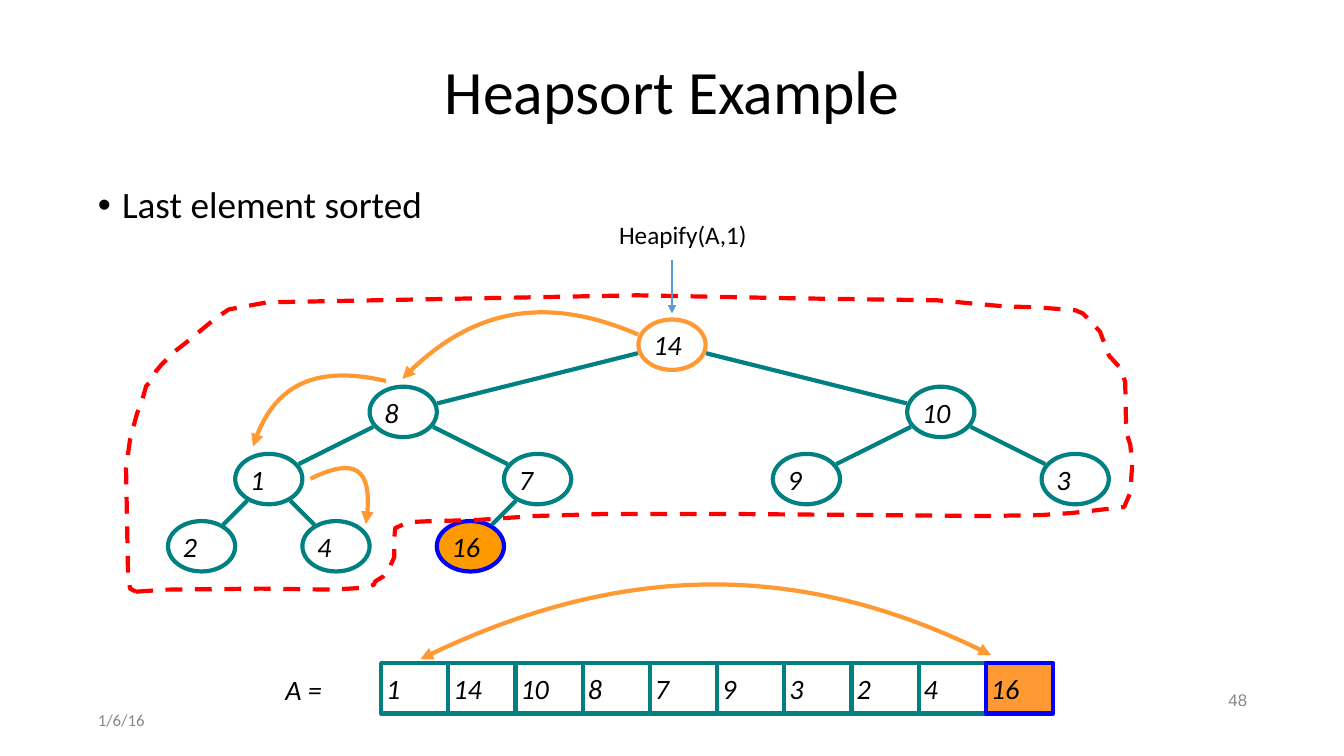
from math import hypot

from lxml import etree
from pptx import Presentation, util as u
from pptx.dml.color import RGBColor
from pptx.enum import dml, shapes, text
from pptx.oxml.ns import qn

TEAL = RGBColor(0x00, 0x80, 0x80)
BLUE = RGBColor(0x00, 0x00, 0xFF)
ORANGE = RGBColor(0xFF, 0x99, 0x33)
AMBER = RGBColor(0xFF, 0x99, 0x00)
RED = RGBColor(0xFF, 0x00, 0x00)
SKY = RGBColor(0x5B, 0x9B, 0xD5)
WHITE = RGBColor(0xFF, 0xFF, 0xFF)
BLACK = RGBColor(0x00, 0x00, 0x00)
GRAY = RGBColor(0x88, 0x88, 0x88)

WIDTH, HEIGHT = 13.33, 7.5
COLUMN = WIDTH / 20
NODE_HEIGHT = 0.5
ROOT_Y = 3.42
ARRAY_LEFT, ARRAY_TOP = 3.78, 6.58

TREE = [
    ("14", 10, 0), ("8", 6, 1), ("10", 14, 1), ("1", 4, 2), ("7", 8, 2),
    ("9", 12, 2), ("3", 16, 2), ("2", 3, 3), ("4", 5, 3), ("16", 7, 3),
]
NODE_COLORS = {"14": (WHITE, ORANGE), "16": (AMBER, BLUE)}
ARRAY = ["1", "14", "10", "8", "7", "9", "3", "2", "4", "16"]
CELL_COLORS = {"16": (ORANGE, BLUE)}

LABELS = [
    ("1/6/16", (0.92, 7, 3, 0.29), 12, "Calibri", GRAY, False, "LEFT"),
    ("48", (9.42, 6.8, 3, 0.29), 12, "Arial", GRAY, False, "RIGHT"),
    ("A =", (2.78, 6.62, 0.7, 0.43), 20, "Calibri", BLACK, True, "LEFT"),
    ("Heapify(A,1)", (6.09, 2.12, 1.6, 0.41), 18, "Calibri", BLACK, False, "LEFT"),
]
HEAP_BOUNDARY = [
    (1.35, 5.87), (1.65, 5.85), (2.59, 5.84), (3.3, 5.85), (3.63, 5.83), (3.71, 5.8),
    (3.72, 5.77), (3.8, 5.72), (3.85, 5.66), (3.91, 5.53), (3.91, 5.35), (3.92, 5.24),
    (4.05, 5.18), (4.29, 5.17), (4.72, 5.16), (5.3, 5.12), (5.98, 5.1), (7.32, 5.1),
    (8.6, 5.11), (9.77, 5.12), (10.33, 5.11), (10.63, 5.09), (10.81, 5.07),
    (11.15, 5.03), (11.21, 4.89), (11.23, 4.6), (11.21, 4.41), (11.17, 4.29),
    (11.16, 3.79), (11.12, 3.66), (11, 3.53), (10.91, 3.29), (10.8, 3.17),
    (10.74, 3.11), (10.67, 3.08), (10.3, 3.05), (9.96, 3.04), (9.3, 2.98),
    (7.88, 2.96), (6.32, 2.93), (2.65, 3), (2.27, 3.07), (2.15, 3.15), (2.05, 3.23),
    (1.87, 3.38), (1.73, 3.49), (1.6, 3.62), (1.55, 3.68), (1.51, 3.77), (1.45, 3.83),
    (1.4, 4.01), (1.36, 4.1), (1.29, 4.36), (1.25, 4.65), (1.27, 5.69), (1.29, 5.84),
]
SWAP_ARROWS = [
    ([(9.83, 6.5), (8, 5.57), (6.11, 5.58), (4.17, 6.54)], ("headEnd", "tailEnd")),
    ([(6.33, 3.32), (5.43, 2.93), (4.65, 3.07), (3.99, 3.76)], ("tailEnd",)),
    ([(3.83, 3.78), (3.14, 3.62), (2.69, 3.84), (2.51, 4.43)], ("tailEnd",)),
    ([(3.63, 5.2), (3.71, 4.68), (3.53, 4.53), (3.08, 4.75)], ("headEnd",)),
]


def inches(values):
    return [u.Inches(value) for value in values]


def add_span(para, words, size, font, color, italic=False):
    span = para.add_run()
    span.text = words
    span.font.size = u.Pt(size)
    span.font.name = font
    span.font.italic = italic
    span.font.color.rgb = color


def set_frame(frame, inset=0.05, anchor=text.MSO_ANCHOR.MIDDLE):
    frame.word_wrap = True
    frame.auto_size = text.MSO_AUTO_SIZE.NONE
    frame.vertical_anchor = anchor
    frame.margin_left = frame.margin_right = u.Inches(0.05)
    frame.margin_top = frame.margin_bottom = u.Inches(inset)
    return frame.paragraphs[0]


def place(box, area):
    box.left, box.top, box.width, box.height = inches(area)


def set_line(shape, color, width=3, ends=()):
    shape.line.color.rgb = color
    shape.line.width = u.Pt(width)
    for end in ends:
        etree.SubElement(shape.line._ln, qn("a:" + end), type="triangle")


def add_number(page, kind, number, area, colors):
    shape = page.shapes.add_shape(kind, *inches(area))
    shape.shadow.inherit = False
    shape.fill.solid()
    shape.fill.fore_color.rgb = colors[0]
    set_line(shape, colors[1])
    para = set_frame(shape.text_frame, inset=0)
    para.alignment = text.PP_ALIGN.LEFT
    add_span(para, number, 20, "Calibri", BLACK, True)


def add_straight(page, start, finish, color, width=3, ends=()):
    line = page.shapes.add_connector(
        shapes.MSO_CONNECTOR.STRAIGHT, *inches([*start, *finish]))
    etree.SubElement(line._element.spPr, qn("a:effectLst"))
    set_line(line, color, width, ends)


def add_outline(page, points, color, close=False, ends=()):
    corners = [inches(point) for point in points]
    builder = page.shapes.build_freeform(*corners[0])
    builder.add_line_segments(corners[1:], close=close)
    outline = builder.convert_to_shape()
    outline.shadow.inherit = False
    outline.fill.background()
    set_line(outline, color, ends=ends)
    return outline


def add_curve(page, points, color, ends):
    curve = add_outline(page, points, color, ends=ends)
    steps = list(curve._element.iter(qn("a:lnTo")))
    bezier = etree.SubElement(steps[0].getparent(), qn("a:cubicBezTo"))
    for step in steps:
        bezier.append(step[0])
        step.getparent().remove(step)


def add_headings(page):
    title, body = page.shapes.title, page.placeholders[1]
    place(title, (0.92, 0.4, 11.5, 1.07))
    para = set_frame(title.text_frame)
    para.alignment = text.PP_ALIGN.CENTER
    para.line_spacing = 0.9
    add_span(para, "Heapsort Example", 44, "Calibri", BLACK)

    place(body, (0.92, 1.8, 3.8, 0.54))
    para = set_frame(body.text_frame, anchor=text.MSO_ANCHOR.TOP)
    para.line_spacing = 0.9
    para.space_before = u.Pt(0)
    props = para._p.get_or_add_pPr()
    props.set("marL", str(u.Inches(0.24)))
    props.set("indent", str(-u.Inches(0.24)))
    etree.SubElement(props, qn("a:buFont"), typeface="Arial")
    etree.SubElement(props, qn("a:buChar"), char="•")
    add_span(para, "Last element sorted", 26.6, "Calibri", BLACK)


def add_tree(page):
    centers = [(column * COLUMN, ROOT_Y + row * COLUMN) for _, column, row in TREE]
    for (number, _, _), (x, y) in zip(TREE, centers):
        area = (x - COLUMN / 2, y - NODE_HEIGHT / 2, COLUMN, NODE_HEIGHT)
        add_number(page, shapes.MSO_SHAPE.OVAL, number, area,
                   NODE_COLORS.get(number, (WHITE, TEAL)))
    for child in range(1, len(TREE)):
        (x1, y1), (x2, y2) = centers[(child - 1) // 2], centers[child]
        dx, dy = x2 - x1, y2 - y1
        trim = 1.07 / hypot(dx / (COLUMN / 2), dy / (NODE_HEIGHT / 2))
        add_straight(page, (x1 + dx * trim, y1 + dy * trim),
                     (x2 - dx * trim, y2 - dy * trim), TEAL)


def main():
    deck = Presentation()
    deck.slide_width, deck.slide_height = inches((WIDTH, HEIGHT))
    page = deck.slides.add_slide(deck.slide_layouts[1])
    add_headings(page)
    add_tree(page)
    boundary = add_outline(page, HEAP_BOUNDARY, RED, close=True)
    boundary.line.dash_style = dml.MSO_LINE.DASH
    for index, number in enumerate(ARRAY):
        area = (ARRAY_LEFT + index * COLUMN, ARRAY_TOP, COLUMN, NODE_HEIGHT)
        add_number(page, shapes.MSO_SHAPE.RECTANGLE, number, area,
                   CELL_COLORS.get(number, (WHITE, TEAL)))
    for words, area, size, font, color, italic, side in LABELS:
        box = page.shapes.add_textbox(*inches(area))
        para = set_frame(box.text_frame)
        para.alignment = text.PP_ALIGN[side]
        add_span(para, words, size, font, color, italic)
    add_straight(page, (WIDTH / 2, 2.58), (WIDTH / 2, 3.11), SKY, 1, ("tailEnd",))
    for points, ends in SWAP_ARROWS:
        add_curve(page, points, ORANGE, ends)
    deck.save("out.pptx")


if __name__ == "__main__":
    main()
